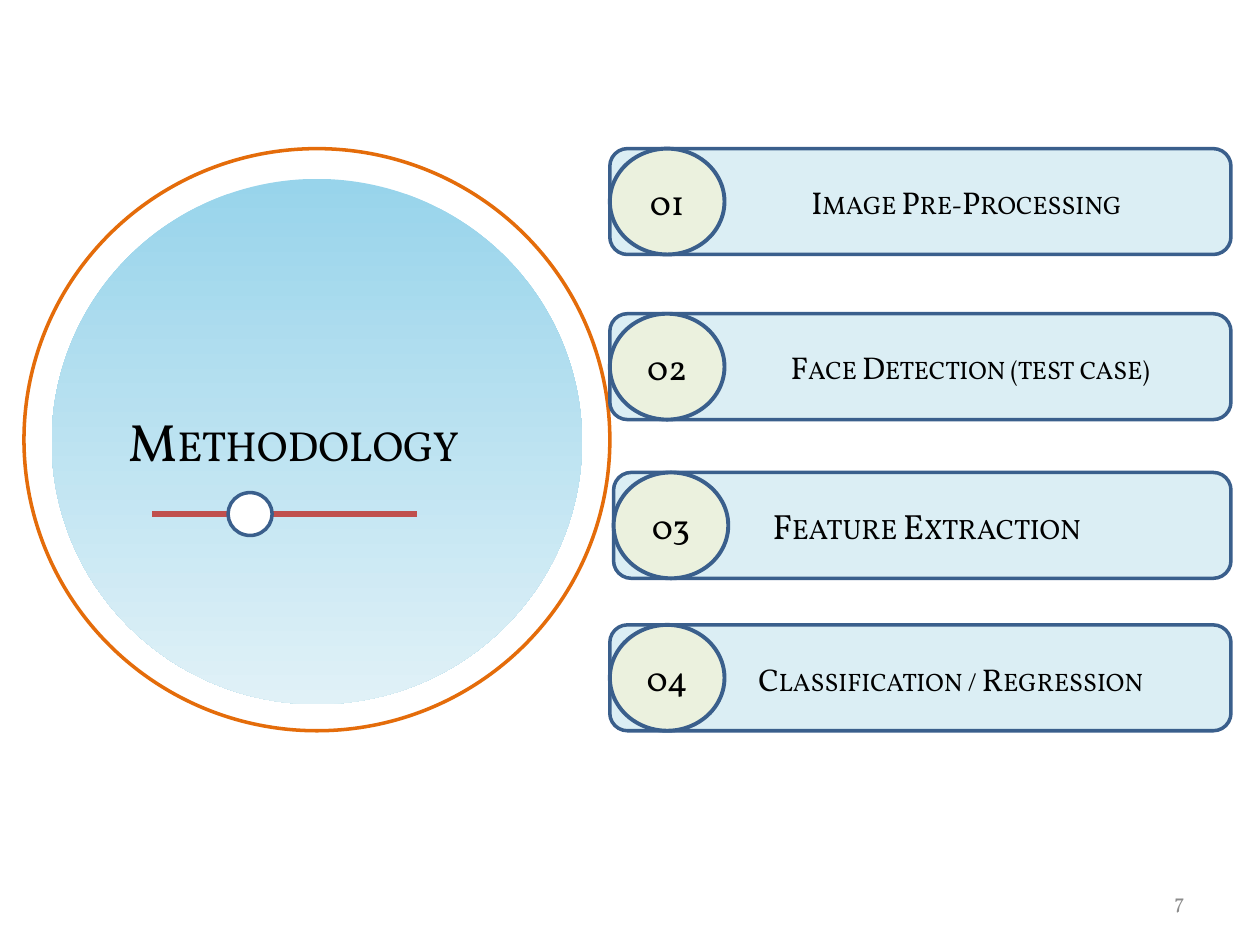
from pptx import Presentation
from pptx.dml.color import RGBColor
from pptx.enum.shapes import MSO_CONNECTOR, MSO_SHAPE
from pptx.enum.text import MSO_ANCHOR, MSO_AUTO_SIZE, PP_ALIGN
from pptx.oxml.ns import qn
from pptx.util import Emu, Pt
from lxml.etree import SubElement

PX = 9144  # EMU in one px, 100 px to the inch
FONT = "Vollkorn"
COLORS = {
    "text": "000000", "number": "8C8C8C", "white": "FFFFFF",
    "sky": "98D4EB", "mist": "E0F1F7", "orange": "E46C0A",
    "red": "C0504D", "navy": "3A5F8C", "bar": "DBEEF4", "badge": "EBF1DE",
}


def color(name):
    return RGBColor.from_string(COLORS[name])


def px(*lengths):
    return [Emu(length * PX) for length in lengths]


def write(shape, text, size=20, ink="text", align=PP_ALIGN.LEFT,
          anchor=MSO_ANCHOR.TOP, small_caps=False, wrap=True, inset=10):
    frame = shape.text_frame
    frame.auto_size = MSO_AUTO_SIZE.NONE
    frame.word_wrap = wrap
    frame.vertical_anchor = anchor
    frame.margin_left = Emu(inset * PX)
    para = frame.paragraphs[0]
    para.alignment = align
    span = para.add_run()
    span.text = text
    span.font.name, span.font.size = FONT, Pt(size)
    span.font.color.rgb = color(ink)
    if small_caps:
        span.font._element.set("cap", "small")


class SlideBuilder:
    def __init__(self, page):
        self.page = page

    def shape(self, kind, box, fill=None, line=None, width=2):
        shape = self.page.shapes.add_shape(kind, *px(*box))
        shape.shadow.inherit = False
        if isinstance(fill, tuple):
            shape.fill.gradient()
            shape.fill.gradient_angle = 270
            for position, (stop, name) in enumerate(zip(shape.fill.gradient_stops, fill)):
                stop.position = position
                stop.color.rgb = color(name)
        elif fill:
            shape.fill.solid()
            shape.fill.fore_color.rgb = color(fill)
        else:
            shape.fill.background()
        if line:
            shape.line.color.rgb = color(line)
            shape.line.width = Pt(width)
        else:
            shape.line.fill.background()
        return shape

    def title(self, box, text, **style):
        title = self.page.shapes.title
        title.left, title.top, title.width, title.height = px(*box)
        write(title, text, **style)
        # Bring the title in front of the shapes drawn so far
        self.page.shapes[-1].element.addnext(title.element)

    def text(self, box, text, **style):
        write(self.page.shapes.add_textbox(*px(*box)), text, **style)

    def line(self, start, end, ink, width):
        line = self.page.shapes.add_connector(MSO_CONNECTOR.STRAIGHT, *px(*start, *end))
        line.line.color.rgb = color(ink)
        line.line.width = Pt(width)
        SubElement(line.element.spPr, qn("a:effectLst"))

    def step(self, left, top, number, label=None, **style):
        bar = self.shape(MSO_SHAPE.FLOWCHART_ALTERNATE_PROCESS,
                         (left, top, 977 - left, 84), "bar", "navy")
        if label:
            write(bar, label, align=PP_ALIGN.CENTER, anchor=MSO_ANCHOR.MIDDLE,
                  small_caps=True, **style)
        badge = self.shape(MSO_SHAPE.OVAL, (left, top, 91, 84), "badge", "navy", 2.25)
        write(badge, number, align=PP_ALIGN.CENTER, anchor=MSO_ANCHOR.MIDDLE)


def main():
    deck = Presentation()
    deck.slide_width, deck.slide_height = px(1000, 750)
    builder = SlideBuilder(deck.slides.add_slide(deck.slide_layouts[5]))

    # Title circle with its ring and slider
    builder.shape(MSO_SHAPE.OVAL, (41, 142, 421, 417), ("sky", "mist"))
    builder.shape(MSO_SHAPE.OVAL, (19, 118, 465, 462), line="orange")
    builder.title((92, 320, 305, 61), "Methodology", size=30, small_caps=True)
    builder.line((121, 408), (331, 408), "red", 3)
    builder.shape(MSO_SHAPE.OVAL, (181, 391, 35, 34), "white", "navy")

    # Numbered steps
    builder.step(484, 118, "01", "Image Pre-Processing", size=18, inset=83)
    builder.step(484, 249, "02", "Face Detection (test case)", size=18, inset=89)
    builder.step(487, 375, "03", "Feature Extraction", inset=17)
    builder.step(484, 496, "04")
    builder.text((592, 519, 346, 40), "Classification / Regression",
                 size=18, small_caps=True, wrap=False)

    # Page number
    builder.text((717, 695, 233, 40), "7", size=12, ink="number",
                 align=PP_ALIGN.RIGHT, anchor=MSO_ANCHOR.MIDDLE)

    deck.save("out.pptx")


if __name__ == "__main__":
    main()
